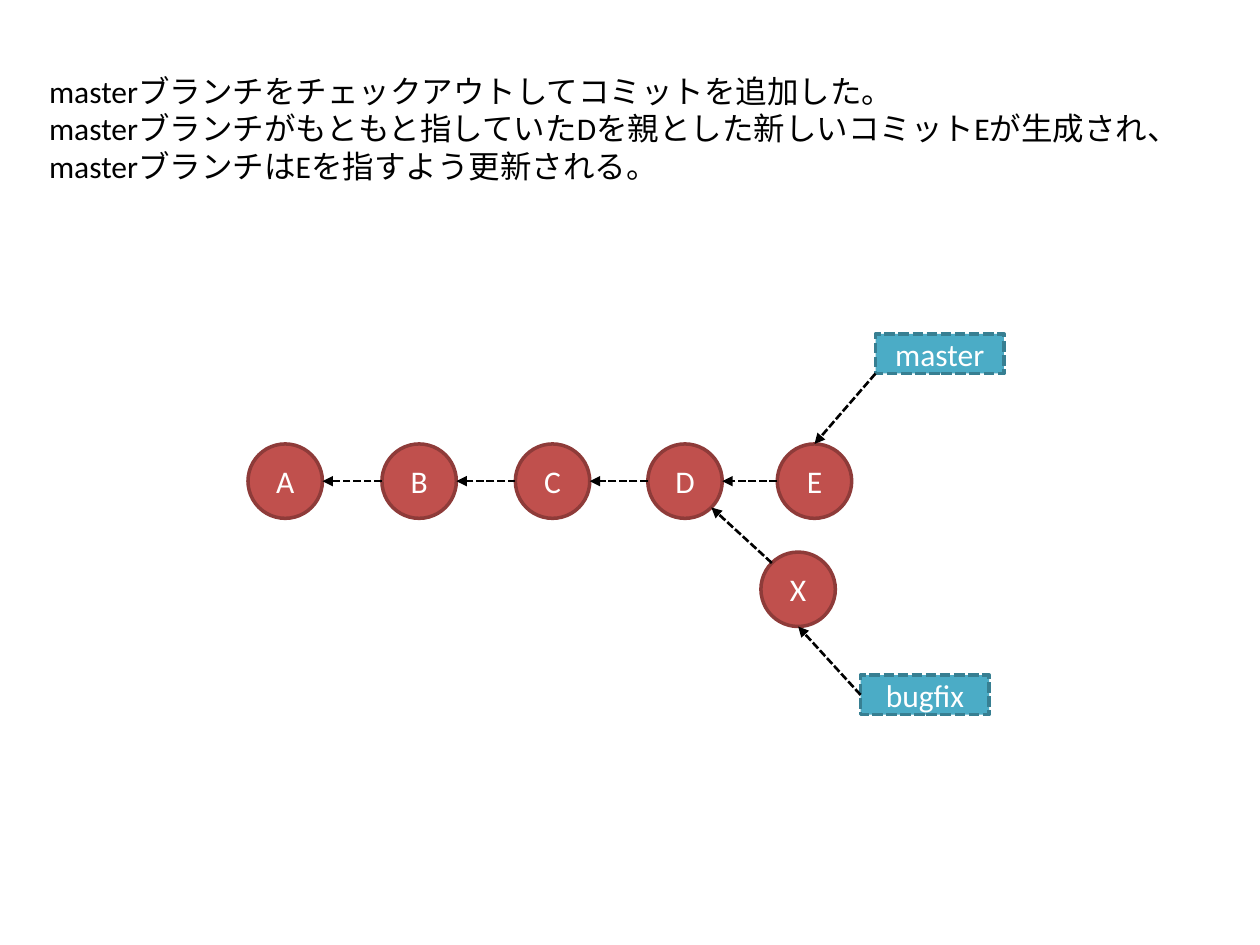
from math import sqrt

from lxml import etree
from pptx import Presentation
from pptx.dml.color import RGBColor
from pptx.enum.dml import MSO_LINE
from pptx.enum.shapes import MSO_CONNECTOR, MSO_SHAPE
from pptx.enum.text import MSO_ANCHOR, PP_ALIGN
from pptx.oxml.ns import qn
from pptx.util import Cm, Pt

OVAL, RECT = MSO_SHAPE.OVAL, MSO_SHAPE.RECTANGLE
STRAIGHT = MSO_CONNECTOR.STRAIGHT
DASH = MSO_LINE.SQUARE_DOT
CENTER, MIDDLE = PP_ALIGN.CENTER, MSO_ANCHOR.MIDDLE

BLACK = RGBColor(0x00, 0x00, 0x00)
WHITE = RGBColor(0xFF, 0xFF, 0xFF)
RED = RGBColor(0xC0, 0x50, 0x4D)
DARK_RED = RGBColor(0x8E, 0x3B, 0x39)
TEAL = RGBColor(0x4B, 0xAC, 0xC6)
DARK_TEAL = RGBColor(0x37, 0x7F, 0x92)

FONT = "Calibri"
DIAMETER = 1.5
TAG_W, TAG_H = 2.59, 0.8
COMMIT_OFFSETS = {"A": 0, "B": 2.7, "C": 5.39, "D": 8.06, "E": 10.67}
EXPLANATION = (
    "masterブランチをチェックアウトしてコミットを追加した。",
    "masterブランチがもともと指していたDを親とした新しいコミットEが生成され、"
    "masterブランチはEを指すよう更新される。",
)


def format_runs(p, color):
    for r in p.runs:
        r.font.name = FONT
        r.font.size = Pt(18)
        r.font.color.rgb = color


def add_node(s, kind, text, x, y, w, h, fill, line):
    sp = s.shapes.add_shape(kind, Cm(x), Cm(y), Cm(w), Cm(h))
    sp.shadow.inherit = False
    sp.fill.solid()
    sp.fill.fore_color.rgb = fill
    sp.line.color.rgb = line
    sp.line.width = Pt(2)
    tf = sp.text_frame
    tf.margin_left = tf.margin_right = tf.margin_top = tf.margin_bottom = 0
    tf.vertical_anchor = MIDDLE
    tf.text = text
    p = tf.paragraphs[0]
    p.alignment = CENTER
    format_runs(p, WHITE)
    return sp


def add_commit(s, text, x, y):
    return add_node(s, OVAL, text, x, y, DIAMETER, DIAMETER, RED, DARK_RED)


def add_branch(s, text, x, y):
    sp = add_node(s, RECT, text, x, y, TAG_W, TAG_H, TEAL, DARK_TEAL)
    sp.line.dash_style = DASH
    return sp


def add_arrow(s, start, end):
    line = s.shapes.add_connector(STRAIGHT, *start, *end)
    line.line.color.rgb = BLACK
    line.line.width = Pt(1.5)
    line.line.dash_style = DASH
    ln = line.line._get_or_add_ln()
    etree.SubElement(ln, qn("a:tailEnd"), type="triangle")
    etree.SubElement(line._element.spPr, qn("a:effectLst"))
    return line


def edge_point(sp, dx, dy):
    return (int(sp.left + sp.width * (1 + dx) / 2),
            int(sp.top + sp.height * (1 + dy) / 2))


def add_explanation(s, x, y, w, h):
    tf = s.shapes.add_textbox(Cm(x), Cm(y), Cm(w), Cm(h)).text_frame
    tf.word_wrap = True
    tf.text = "\n".join(EXPLANATION)
    for p in tf.paragraphs:
        format_runs(p, BLACK)


def add_commit_graph(s, x, y):
    commits = {name: add_commit(s, name, x + dx, y + 2.22)
               for name, dx in COMMIT_OFFSETS.items()}
    fix = add_commit(s, "X", x + 10.34, y + 4.4)
    master = add_branch(s, "master", x + 12.65, y)
    bugfix = add_branch(s, "bugfix", x + 12.35, y + 6.88)

    chain = list(commits.values())
    for parent, child in zip(chain, chain[1:]):
        add_arrow(s, edge_point(child, -1, 0), edge_point(parent, 1, 0))

    diagonal = 1 / sqrt(2)
    add_arrow(s, edge_point(fix, -diagonal, -diagonal),
              edge_point(commits["D"], diagonal, diagonal))
    add_arrow(s, edge_point(master, -1, 1), edge_point(commits["E"], 0, -1))
    arrow = add_arrow(s, edge_point(bugfix, -1, 0), edge_point(fix, 0, 1))
    arrow.begin_connect(bugfix, 1)


def main():
    prs = Presentation()
    prs.slide_width, prs.slide_height = Cm(25.4), Cm(19.05)
    s = prs.slides.add_slide(prs.slide_layouts[6])
    add_commit_graph(s, 5, 6.73)
    add_explanation(s, 0.74, 1.32, 23.95, 2.57)
    prs.save("out.pptx")


if __name__ == "__main__":
    main()
